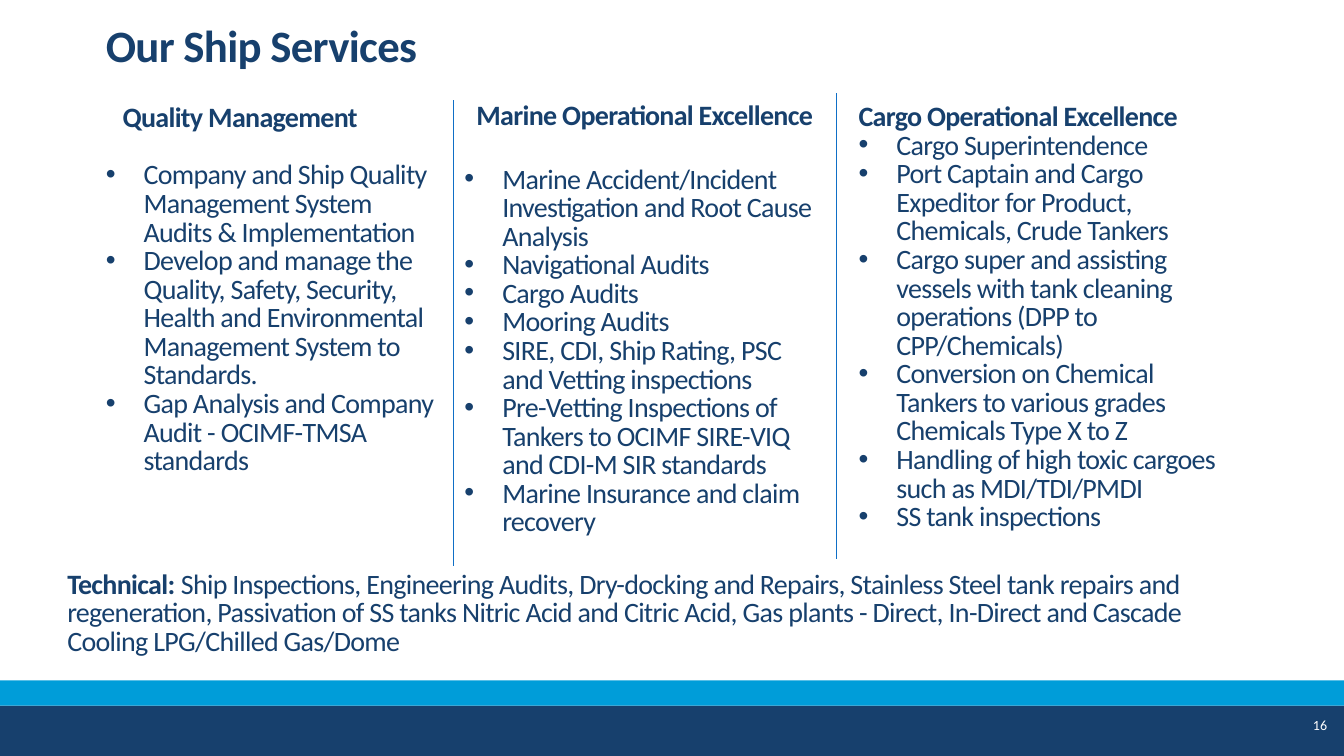
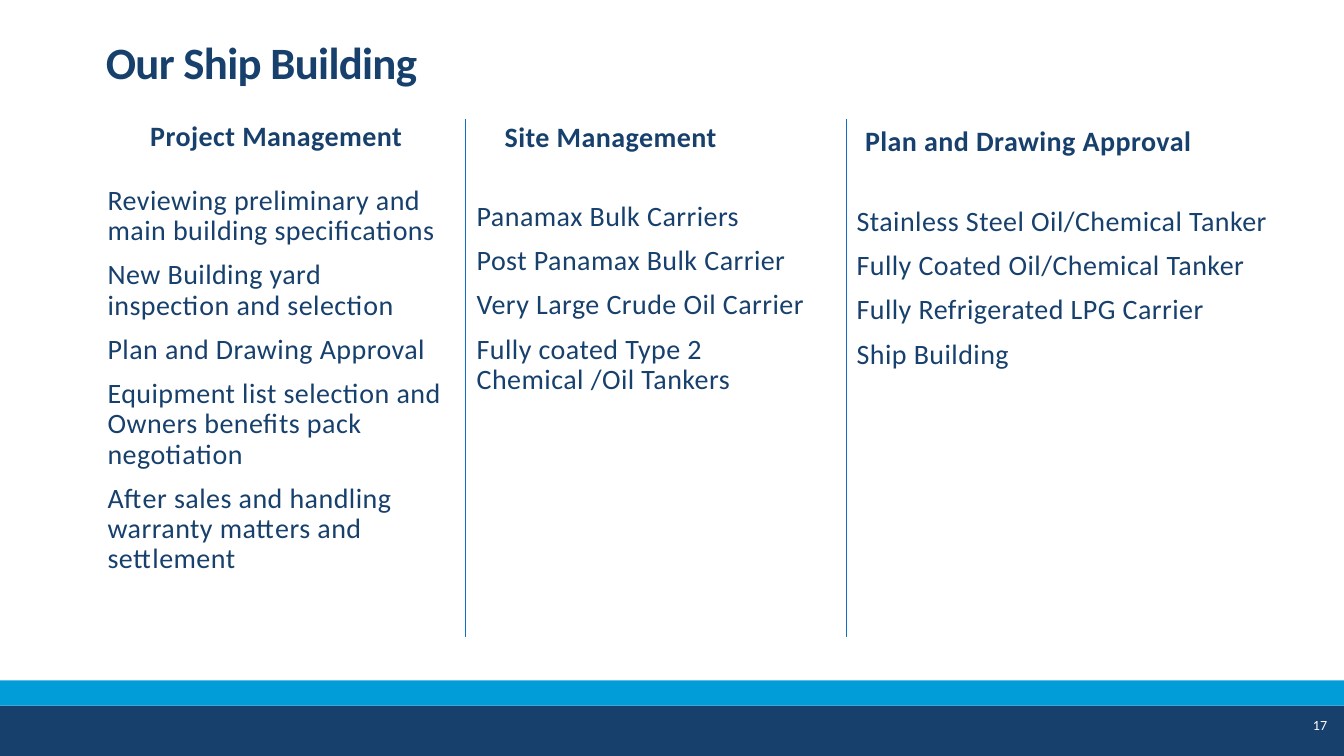
from pptx import Presentation
from pptx import util as u
from pptx.dml.color import RGBColor
from pptx.enum import shapes, text
from pptx.oxml.ns import qn
from lxml import etree

Pt = u.Pt
COLORS = {"navy": "17406D", "sky": "009DD9", "divider": "0F6FC6", "white": "FFFFFF"}
FONT = "Calibri"
SLIDE_W, SLIDE_H = 960, 540
TIGHT, LOOSE = -0.5, 0.3
BULLET_INDENT = 27

SERVICES = {
    "title": "Our Ship Services",
    "title_top": 15,
    "spacing": TIGHT,
    "bulleted": True,
    "columns": [
        {"box": (68.5, 71.3, 255, 328), "heading": "Quality Management",
         "indent": 12, "gap": 20.5, "items": [
             "Company and Ship Quality Management System Audits & Implementation",
             "Develop and manage the Quality, Safety, Security, Health and "
             "Environmental Management System to Standards.",
             "Gap Analysis and Company Audit - OCIMF-TMSA standards"]},
        {"box": (324.7, 69.8, 271.5, 328), "heading": "Marine Operational Excellence",
         "indent": None, "gap": 25, "items": [
             "Marine Accident/Incident Investigation and Root Cause Analysis",
             "Navigational Audits",
             "Cargo Audits",
             "Mooring Audits",
             "SIRE, CDI, Ship Rating, PSC and Vetting inspections",
             "Pre-Vetting Inspections of Tankers to OCIMF SIRE-VIQ and CDI-M SIR standards",
             "Marine Insurance and claim recovery"]},
        {"box": (606.2, 70.6, 284.5, 328), "heading": "Cargo Operational Excellence",
         "indent": 0, "gap": 0, "items": [
             "Cargo Superintendence",
             "Port Captain and Cargo Expeditor for Product, Chemicals, Crude Tankers",
             "Cargo super and assisting vessels with tank cleaning operations "
             "(DPP to CPP/Chemicals)",
             "Conversion on Chemical Tankers to various grades Chemicals Type X to Z",
             "Handling of high toxic cargoes such as MDI/TDI/PMDI",
             "SS tank inspections"]},
    ],
    "dividers": [(324, 71.5, 404.5), (597.6, 66.5, 399)],
    "technical": (
        "Technical: ",
        "Ship Inspections, Engineering Audits, Dry-docking and Repairs, Stainless Steel "
        "tank repairs and regeneration, Passivation of SS tanks Nitric Acid and Citric "
        "Acid, Gas plants - Direct, In-Direct and Cascade Cooling LPG/Chilled Gas/Dome"),
}

BUILDING = {
    "title": "Our Ship Building",
    "title_top": 27.4,
    "spacing": LOOSE,
    "bulleted": False,
    "columns": [
        {"box": (69.8, 85, 255, 369), "heading": "Project Management",
         "indent": None, "gap": 20, "items": [
             "Reviewing preliminary and main building specifications",
             "New Building yard inspection and selection",
             "Plan and Drawing Approval",
             "Equipment list selection and Owners benefits pack negotiation",
             "After sales and handling warranty matters and settlement"]},
        {"box": (333.4, 85.5, 271.5, 369), "heading": "Site Management",
         "indent": 20, "gap": 31, "items": [
             "Panamax Bulk Carriers",
             "Post Panamax Bulk Carrier",
             "Very Large Crude Oil Carrier",
             "Fully coated Type 2 Chemical /Oil Tankers"]},
        {"box": (604.8, 88.5, 313, 366), "heading": "Plan and Drawing Approval",
         "indent": 6, "gap": 31.5, "items": [
             "Stainless Steel Oil/Chemical Tanker",
             "Fully Coated Oil/Chemical Tanker",
             "Fully Refrigerated LPG Carrier",
             "Ship Building"]},
    ],
    "dividers": [(332.6, 85, 455), (604.8, 85, 455)],
    "technical": None,
}


def rgb(name):
    return RGBColor.from_string(COLORS[name])


def add_band(slide, top, height, color):
    band = slide.shapes.add_shape(
        shapes.MSO_SHAPE.RECTANGLE, 0, Pt(top), Pt(SLIDE_W), Pt(height))
    band.shadow.inherit = False
    band.fill.solid()
    band.fill.fore_color.rgb = rgb(color)
    band.line.fill.background()


def add_frame(slide, left, top, width, height):
    frame = slide.shapes.add_textbox(Pt(left), Pt(top), Pt(width), Pt(height)).text_frame
    frame.word_wrap = True
    return frame


def add_run(paragraph, words, size=20, bold=False, spacing=0, color="navy"):
    run = paragraph.add_run()
    run.text = words
    run.font.name = FONT
    run.font.size = Pt(size)
    run.font.bold = bold
    run.font.color.rgb = rgb(color)
    if spacing:
        run.font._element.set("spc", str(round(spacing * 100)))


def indent_paragraph(paragraph, left, bullet=False):
    props = paragraph._p.get_or_add_pPr()
    props.set("marL", str(Pt(left)))
    if bullet:
        props.set("indent", str(-Pt(left)))
        etree.SubElement(props, qn("a:buFont")).set("typeface", "Arial")
        etree.SubElement(props, qn("a:buChar")).set("char", "•")


def add_title(slide, words, top):
    title = add_frame(slide, 68.5, top, 832, 44).paragraphs[0]
    title.line_spacing = 0.85
    add_run(title, words, 32, True, TIGHT)


def add_column(slide, column, spacing, bulleted):
    frame = add_frame(slide, *column["box"])
    heading = frame.paragraphs[0]
    heading.line_spacing = 0.85
    heading.space_after = Pt(column["gap"])
    if column["indent"] is None:
        heading.alignment = text.PP_ALIGN.CENTER
    else:
        indent_paragraph(heading, column["indent"])
    add_run(heading, column["heading"], bold=True, spacing=spacing)
    for words in column["items"]:
        item = frame.add_paragraph()
        if bulleted:
            item.line_spacing = 0.85
            indent_paragraph(item, BULLET_INDENT, bullet=True)
        else:
            item.line_spacing = 0.9
            item.space_before = Pt(4)
            item.space_after = Pt(6)
        add_run(item, words, spacing=spacing)


def add_divider(slide, x, top, bottom):
    divider = slide.shapes.add_connector(
        shapes.MSO_CONNECTOR.STRAIGHT, Pt(x), Pt(top), Pt(x), Pt(bottom))
    divider.line.color.rgb = rgb("divider")
    divider.line.width = Pt(1)
    etree.SubElement(divider._element.spPr, qn("a:effectLst"))


def add_technical(slide, label, details):
    technical = add_frame(slide, 41, 404.6, 832, 80).paragraphs[0]
    technical.line_spacing = 0.85
    add_run(technical, label, bold=True, spacing=TIGHT)
    add_run(technical, details, spacing=TIGHT)


def add_footer(slide, number):
    add_band(slide, 504, 36, "navy")
    add_band(slide, 486, 18, "sky")
    page = add_frame(slide, 852, 508.3, 103, 29).paragraphs[0]
    page.alignment = text.PP_ALIGN.RIGHT
    add_run(page, str(number), 10, color="white")


def build_slide(deck, content, number):
    slide = deck.slides.add_slide(deck.slide_layouts[6])
    add_footer(slide, number)
    add_title(slide, content["title"], content["title_top"])
    for column in content["columns"]:
        add_column(slide, column, content["spacing"], content["bulleted"])
    if content["technical"]:
        add_technical(slide, *content["technical"])
    for divider in content["dividers"]:
        add_divider(slide, *divider)


def main():
    deck = Presentation()
    deck.slide_width, deck.slide_height = Pt(SLIDE_W), Pt(SLIDE_H)
    for number, content in enumerate((SERVICES, BUILDING), start=16):
        build_slide(deck, content, number)
    deck.save("out.pptx")


if __name__ == "__main__":
    main()
